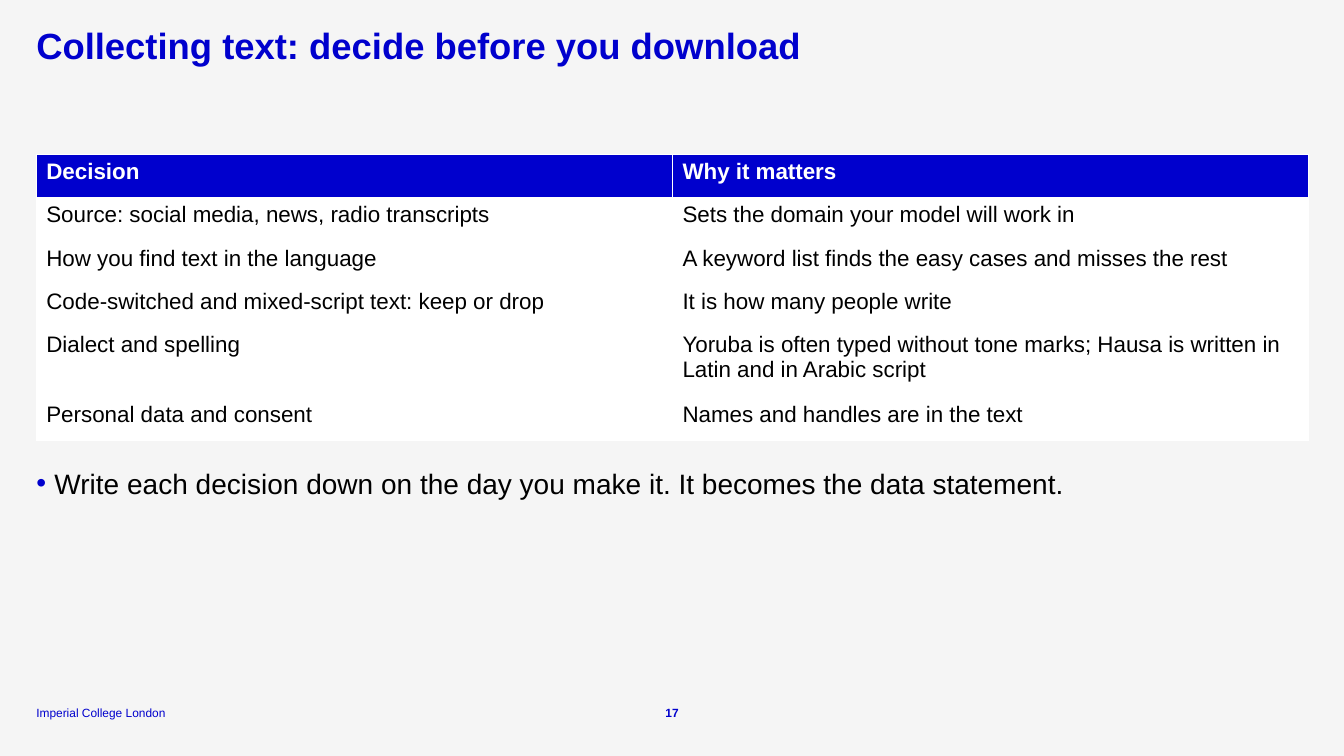
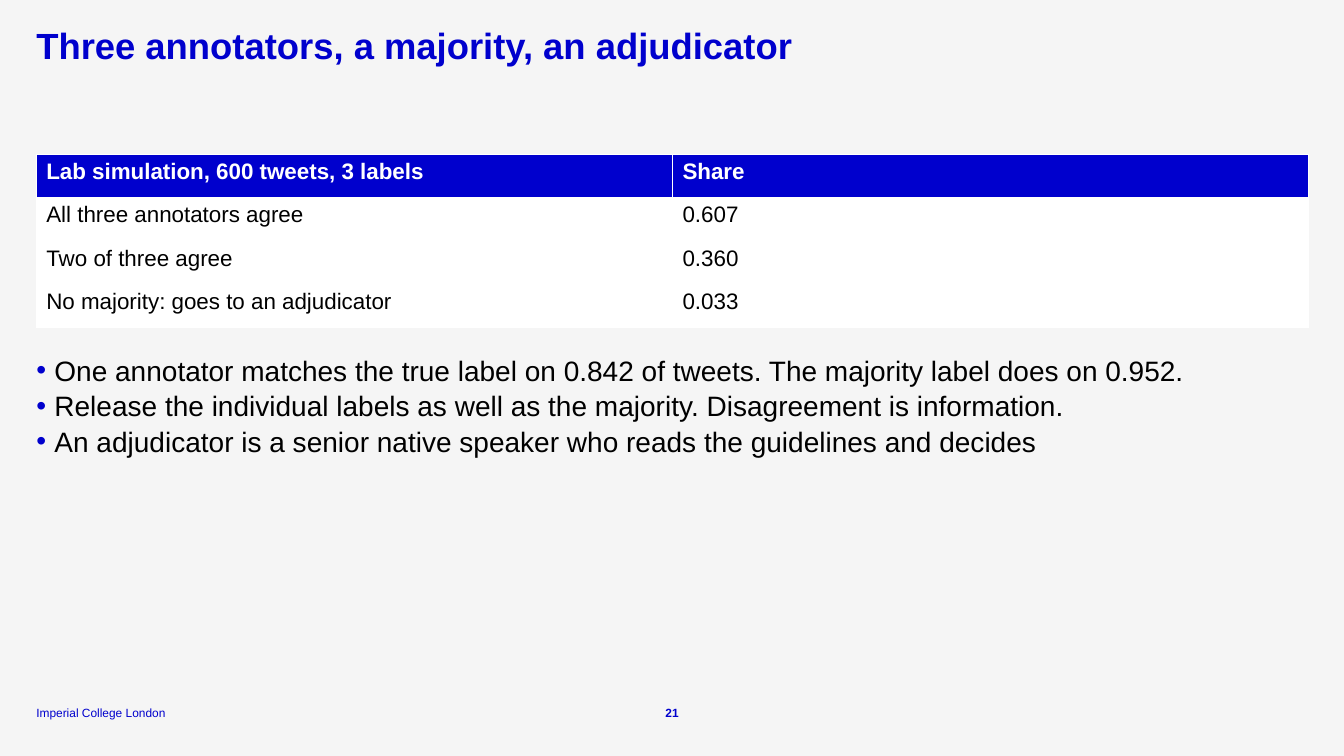
from lxml.etree import SubElement
from pptx import Presentation
from pptx.dml.color import RGBColor
from pptx.enum.text import MSO_ANCHOR as Anchor, MSO_AUTO_SIZE as AutoSize, PP_ALIGN as Align
from pptx.oxml.ns import qn
from pptx.util import Inches, Pt

FONT = "Arial"
BLUE = "0000CD"
BLACK = "000000"
WHITE = "FFFFFF"
BACKGROUND = "F5F5F5"

SLIDE_WIDTH, SLIDE_HEIGHT = 13.33, 7.5
LEFT, CONTENT_WIDTH = 0.36, 12.62
TITLE_BOX = (LEFT, 0.28, CONTENT_WIDTH, 0.41)
TABLE_TOP = 1.53
ROW_HEIGHT, TALL_ROW_HEIGHT = 0.43, 0.69
BODY_GAP = 0.24
BULLET_HEIGHT = 0.5
BULLET_INDENT = 0.18
FOOTER_TOP, FOOTER_HEIGHT = 6.99, 0.15
FOOTER_WIDTH, NUMBER_WIDTH = 1.55, 0.35
FOOTER_TEXT = "Imperial College London"


def color(value):
    return RGBColor.from_string(value)


def style_paragraph(paragraph, size, text_color, bold=False, align=Align.LEFT, spacing=None):
    paragraph.alignment = align
    if spacing:
        paragraph.line_spacing = spacing
    for run in paragraph.runs:
        run.font.name = FONT
        run.font.size = Pt(size)
        run.font.bold = bold
        run.font.color.rgb = color(text_color)


def prepare_frame(shape, anchor):
    frame = shape.text_frame
    frame.word_wrap = True
    frame.auto_size = AutoSize.NONE
    frame.vertical_anchor = anchor
    frame.margin_left = frame.margin_right = frame.margin_top = frame.margin_bottom = 0
    return frame


def add_text_frame(slide, box, anchor):
    return prepare_frame(slide.shapes.add_textbox(*map(Inches, box)), anchor)


def set_title(slide, box, text):
    title = slide.shapes.title
    title.left, title.top, title.width, title.height = map(Inches, box)
    frame = prepare_frame(title, Anchor.TOP)
    frame.text = text
    style_paragraph(frame.paragraphs[0], 26, BLUE, bold=True, spacing=0.9)


def add_decision_table(slide, left, top, width, rows, tall_rows):
    heights = [TALL_ROW_HEIGHT if index in tall_rows else ROW_HEIGHT for index in range(len(rows))]
    height = sum(heights)
    box = map(Inches, (left, top, width, height))
    table = slide.shapes.add_table(len(rows), len(rows[0]), *box).table
    table.horz_banding = False
    for row_index, values in enumerate(rows):
        header = row_index == 0
        table.rows[row_index].height = Inches(heights[row_index])
        for column_index, value in enumerate(values):
            cell = table.cell(row_index, column_index)
            cell.text = value
            cell.fill.solid()
            cell.fill.fore_color.rgb = color(BLUE if header else WHITE)
            style_paragraph(cell.text_frame.paragraphs[0], 16, WHITE if header else BLACK, bold=header)
    return top + height


def add_bullet(paragraph):
    properties = paragraph._p.get_or_add_pPr()
    properties.set("marL", str(Inches(BULLET_INDENT)))
    properties.set("indent", str(-Inches(BULLET_INDENT)))
    bullet_color = SubElement(properties, qn("a:buClr"))
    SubElement(bullet_color, qn("a:srgbClr"), val=BLUE)
    SubElement(properties, qn("a:buFont"), typeface=FONT)
    SubElement(properties, qn("a:buChar"), char="•")


def add_bullets(slide, left, top, width, bullets):
    frame = add_text_frame(slide, (left, top, width, BULLET_HEIGHT * len(bullets)), Anchor.TOP)
    frame.text = "\n".join(bullets)
    for paragraph in frame.paragraphs:
        add_bullet(paragraph)
        style_paragraph(paragraph, 20, BLACK, spacing=1.05)


def add_footer(slide, left, top, height, number):
    number_left = (SLIDE_WIDTH - NUMBER_WIDTH) / 2
    for text, part_left, width, bold, align in (
        (FOOTER_TEXT, left, FOOTER_WIDTH, False, Align.LEFT),
        (str(number), number_left, NUMBER_WIDTH, True, Align.CENTER),
    ):
        frame = add_text_frame(slide, (part_left, top, width, height), Anchor.BOTTOM)
        frame.text = text
        style_paragraph(frame.paragraphs[0], 8.5, BLUE, bold, align)


def add_table_slide(presentation, number, title, rows, bullets, tall_rows=()):
    slide = presentation.slides.add_slide(presentation.slide_layouts[5])
    set_title(slide, TITLE_BOX, title)
    table_bottom = add_decision_table(slide, LEFT, TABLE_TOP, CONTENT_WIDTH, rows, tall_rows)
    add_bullets(slide, LEFT, table_bottom + BODY_GAP, CONTENT_WIDTH, bullets)
    add_footer(slide, LEFT, FOOTER_TOP, FOOTER_HEIGHT, number)


def main():
    presentation = Presentation()
    presentation.slide_width = Inches(SLIDE_WIDTH)
    presentation.slide_height = Inches(SLIDE_HEIGHT)
    background = presentation.slide_master.background.fill
    background.solid()
    background.fore_color.rgb = color(BACKGROUND)

    add_table_slide(
        presentation,
        17,
        "Collecting text: decide before you download",
        [
            ("Decision", "Why it matters"),
            ("Source: social media, news, radio transcripts", "Sets the domain your model will work in"),
            ("How you find text in the language", "A keyword list finds the easy cases and misses the rest"),
            ("Code-switched and mixed-script text: keep or drop", "It is how many people write"),
            (
                "Dialect and spelling",
                "Yoruba is often typed without tone marks; Hausa is written in Latin and in Arabic script",
            ),
            ("Personal data and consent", "Names and handles are in the text"),
        ],
        ["Write each decision down on the day you make it. It becomes the data statement."],
        tall_rows=(4,),
    )
    add_table_slide(
        presentation,
        21,
        "Three annotators, a majority, an adjudicator",
        [
            ("Lab simulation, 600 tweets, 3 labels", "Share"),
            ("All three annotators agree", "0.607"),
            ("Two of three agree", "0.360"),
            ("No majority: goes to an adjudicator", "0.033"),
        ],
        [
            "One annotator matches the true label on 0.842 of tweets. The majority label does on 0.952.",
            "Release the individual labels as well as the majority. Disagreement is information.",
            "An adjudicator is a senior native speaker who reads the guidelines and decides",
        ],
    )
    presentation.save("out.pptx")


if __name__ == "__main__":
    main()
